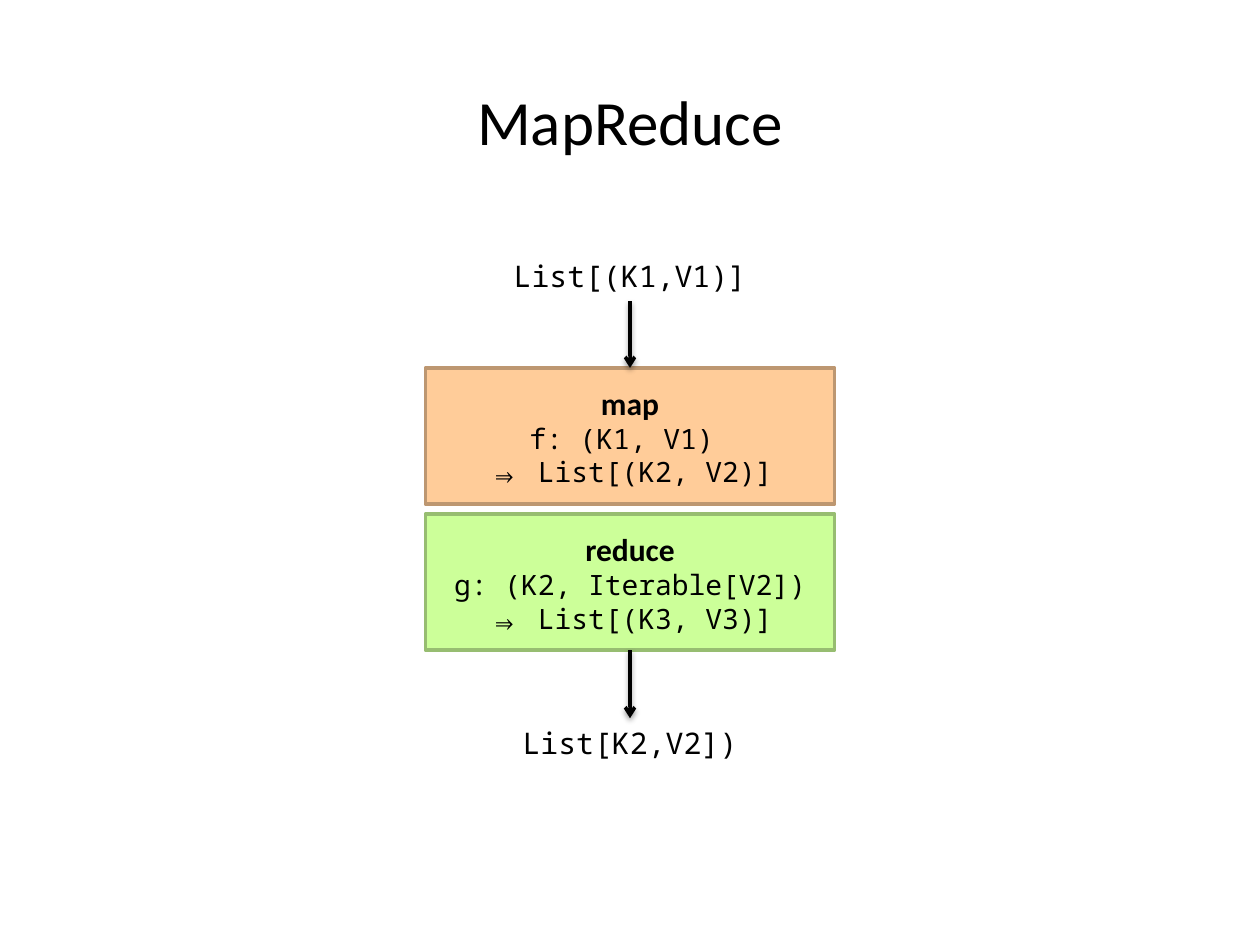
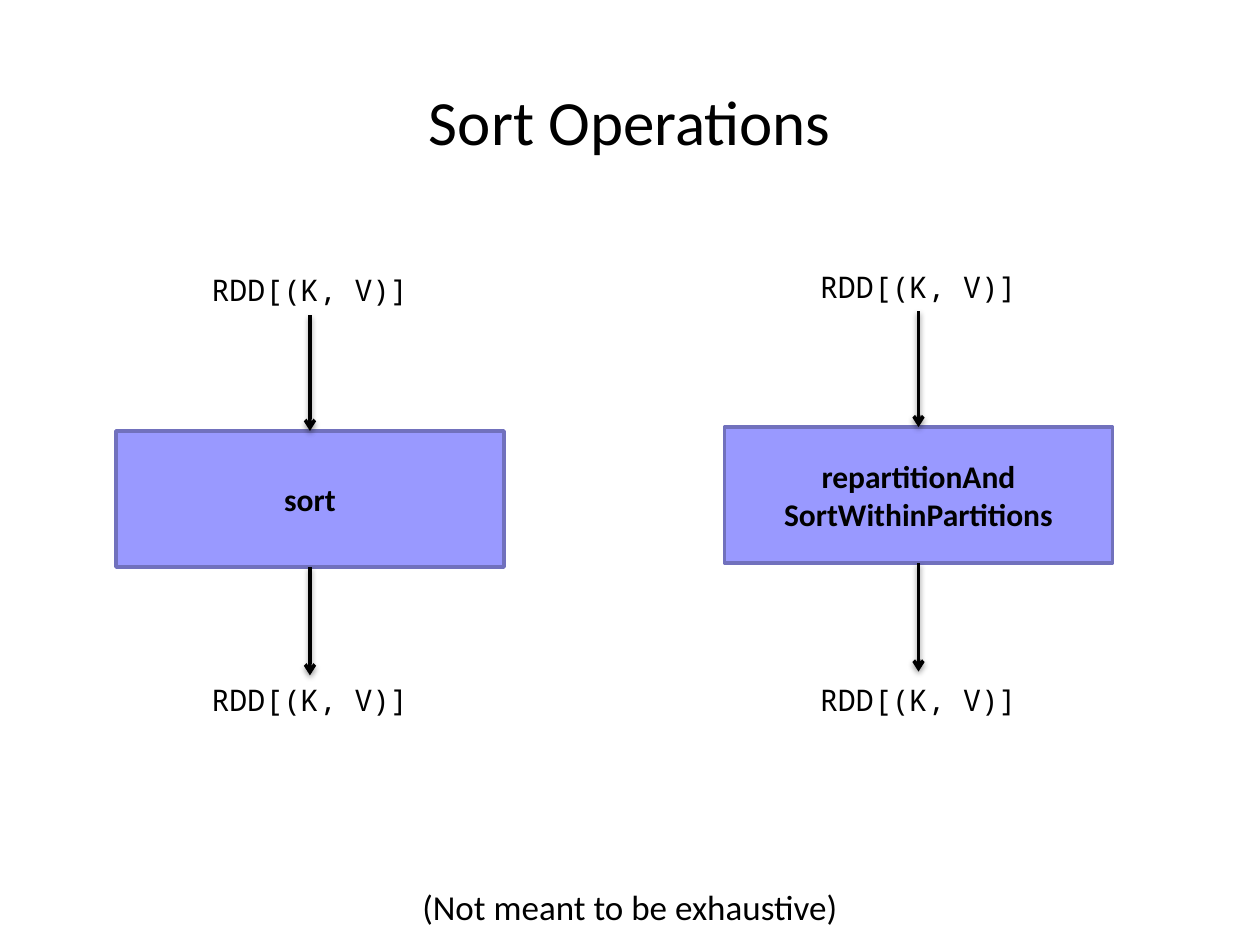
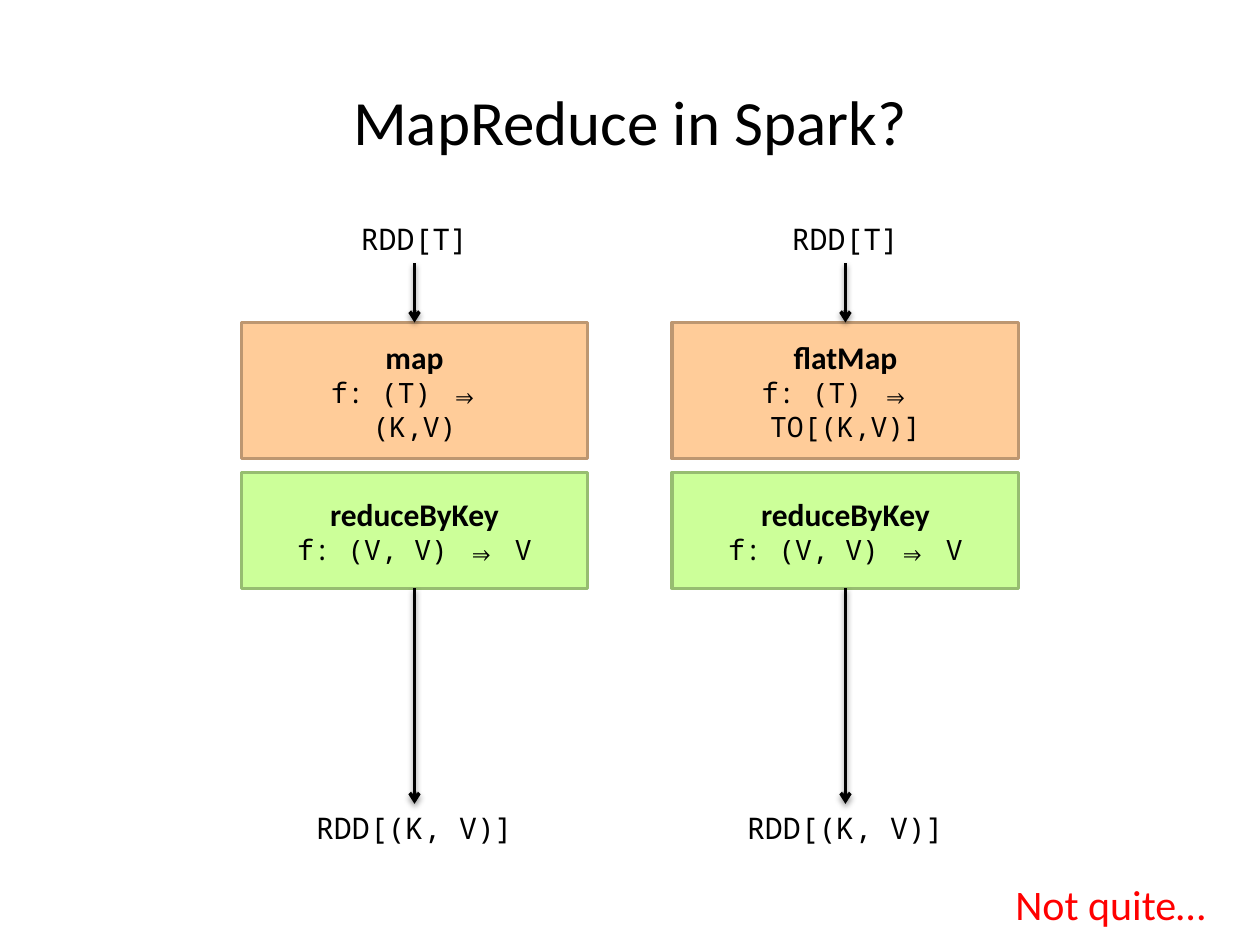
import pptx
import pptx.dml.color
import pptx.enum.shapes
import pptx.enum.text
import pptx.oxml
import pptx.oxml.ns
import pptx.util

Inches = pptx.util.Inches
Pt = pptx.util.Pt
CENTER = pptx.enum.text.PP_ALIGN.CENTER
MIDDLE = pptx.enum.text.MSO_ANCHOR.MIDDLE

COLORS = {
    "text": "000000",
    "alert": "FF0000",
    "map": "FFCC99",
    "map_line": "BD9771",
    "reduce": "CCFF99",
    "reduce_line": "97BD71",
    "sort": "9999FF",
    "sort_line": "7171BD",
}
SANS = "Calibri"
MONO = "Noto Sans Mono"
LABEL_HEIGHT = 0.39
BOX_HEIGHT = 1.08
LINE_WIDTH = 2

SHADOW = (
    f'<a:effectLst {pptx.oxml.ns.nsdecls("a")}>'
    '<a:outerShdw blurRad="40000" dist="20000" dir="5400000" rotWithShape="0">'
    '<a:srgbClr val="000000"><a:alpha val="38000"/></a:srgbClr>'
    "</a:outerShdw></a:effectLst>"
)
ARROWHEAD = f'<a:tailEnd {pptx.oxml.ns.nsdecls("a")} type="arrow"/>'


def rgb(name):
    return pptx.dml.color.RGBColor.from_string(COLORS[name])


def write(p, text, size, font=SANS, color="text", bold=False, align=CENTER):
    p.text = text
    p.alignment = align
    p.font.size = Pt(size)
    p.font.name = font
    p.font.bold = bold
    p.font.color.rgb = rgb(color)


def add_slide(prs, title):
    slide = prs.slides.add_slide(prs.slide_layouts[5])
    sp = slide.shapes.title
    sp.left, sp.top, sp.width, sp.height = (Inches(v) for v in (0, 0.58, 10, 0.75))
    sp.text_frame.vertical_anchor = MIDDLE
    write(sp.text_frame.paragraphs[0], title, 36)
    return slide


def add_text(shapes, left, top, width, height, text, size, wrap=True, **style):
    sp = shapes.add_textbox(Inches(left), Inches(top), Inches(width), Inches(height))
    tf = sp.text_frame
    tf.word_wrap = wrap
    tf.auto_size = pptx.enum.text.MSO_AUTO_SIZE.SHAPE_TO_FIT_TEXT
    write(tf.paragraphs[0], text, size, **style)


def add_label(shapes, center, label):
    text, top, width = label
    add_text(shapes, center - width / 2, top, width, LABEL_HEIGHT, text, 17, font=MONO)


def add_box(shapes, center, width, kind, top, height, name, signature=None):
    sp = shapes.add_shape(
        pptx.enum.shapes.MSO_SHAPE.RECTANGLE,
        Inches(center - width / 2), Inches(top), Inches(width), Inches(height),
    )
    sp.shadow.inherit = False
    sp.fill.solid()
    sp.fill.fore_color.rgb = rgb(kind)
    sp.line.color.rgb = rgb(f"{kind}_line")
    sp.line.width = Pt(LINE_WIDTH)
    tf = sp.text_frame
    tf.word_wrap = True
    tf.vertical_anchor = MIDDLE
    write(tf.paragraphs[0], name, 18, bold=True)
    if signature:
        write(tf.add_paragraph(), signature, 16, font=MONO)
    return sp


def add_arrow(shapes, center, start, end):
    line = shapes.add_connector(
        pptx.enum.shapes.MSO_CONNECTOR.STRAIGHT,
        Inches(center), Inches(start), Inches(center), Inches(end),
    )
    line.line.color.rgb = rgb("text")
    line.line.width = Pt(LINE_WIDTH)
    line.line._get_or_add_ln().append(pptx.oxml.parse_xml(ARROWHEAD))
    line._element.spPr.append(pptx.oxml.parse_xml(SHADOW))
    return line


def add_flow(shapes, center, width, source, boxes, result, end=None):
    add_label(shapes, center, source)
    add_label(shapes, center, result)
    steps = [add_box(shapes, center, width, *box) for box in boxes]
    first_top = boxes[0][1]
    last_bottom = boxes[-1][1] + boxes[-1][2]
    arrow_in = add_arrow(shapes, center, source[1] + LABEL_HEIGHT, first_top)
    arrow_in.end_connect(steps[0], 0)
    arrow_out = add_arrow(shapes, center, last_bottom, end or result[1])
    arrow_out.begin_connect(steps[-1], 2)


def build_mapreduce(prs):
    slide = add_slide(prs, "MapReduce")
    boxes = [
        ("map", 2.92, BOX_HEIGHT, "map", "f: (K1, V1) \v⇒ List[(K2, V2)]"),
        ("reduce", 4.08, BOX_HEIGHT, "reduce", "g: (K2, Iterable[V2]) ⇒ List[(K3, V3)]"),
    ]
    add_flow(slide.shapes, 5, 3.25, ("List[(K1,V1)]", 2, 3.33), boxes,
             ("List[K2,V2])", 5.7, 3.33))


def build_sort(prs):
    slide = add_slide(prs, "Sort Operations")
    pairs = "RDD[(K, V)]"
    flows = [
        (2.46, 2.11, "sort", 4.08),
        (7.29, 2.08, "repartitionAnd\vSortWithinPartitions", 5.08),
    ]
    for center, top, name, result_width in flows:
        group = slide.shapes.add_group_shape()
        boxes = [("sort", top + 1.31, BOX_HEIGHT, name)]
        add_flow(group.shapes, center, 3.08, (pairs, top, 1.83), boxes,
                 (pairs, 5.36, result_width), end=top + 3.25)
    add_text(slide.shapes, 0, 6.98, 10, 0.44, "(Not meant to be exhaustive)", 20)


def build_spark(prs):
    slide = add_slide(prs, "MapReduce in Spark?")
    flows = [
        (3.29, "map", "f: (T) ⇒ \v(K,V)"),
        (6.71, "flatMap", "f: (T) ⇒ \vTO[(K,V)]"),
    ]
    for center, name, signature in flows:
        group = slide.shapes.add_group_shape()
        boxes = [
            ("map", 2.56, BOX_HEIGHT, name, signature),
            ("reduce", 3.75, 0.92, "reduceByKey", "f: (V, V) ⇒ V"),
        ]
        add_flow(group.shapes, center, 2.75, ("RDD[T]", 1.7, 1.17), boxes,
                 ("RDD[(K, V)]", 6.38, 1.92))
    add_text(slide.shapes, 7.96, 6.92, 1.88, 0.5, "Not quite…", 24, wrap=False,
             color="alert", align=pptx.enum.text.PP_ALIGN.LEFT)


def main():
    prs = pptx.Presentation()
    prs.slide_width = Inches(10)
    prs.slide_height = Inches(7.5)
    build_mapreduce(prs)
    build_sort(prs)
    build_spark(prs)
    prs.save("out.pptx")


if __name__ == "__main__":
    main()
